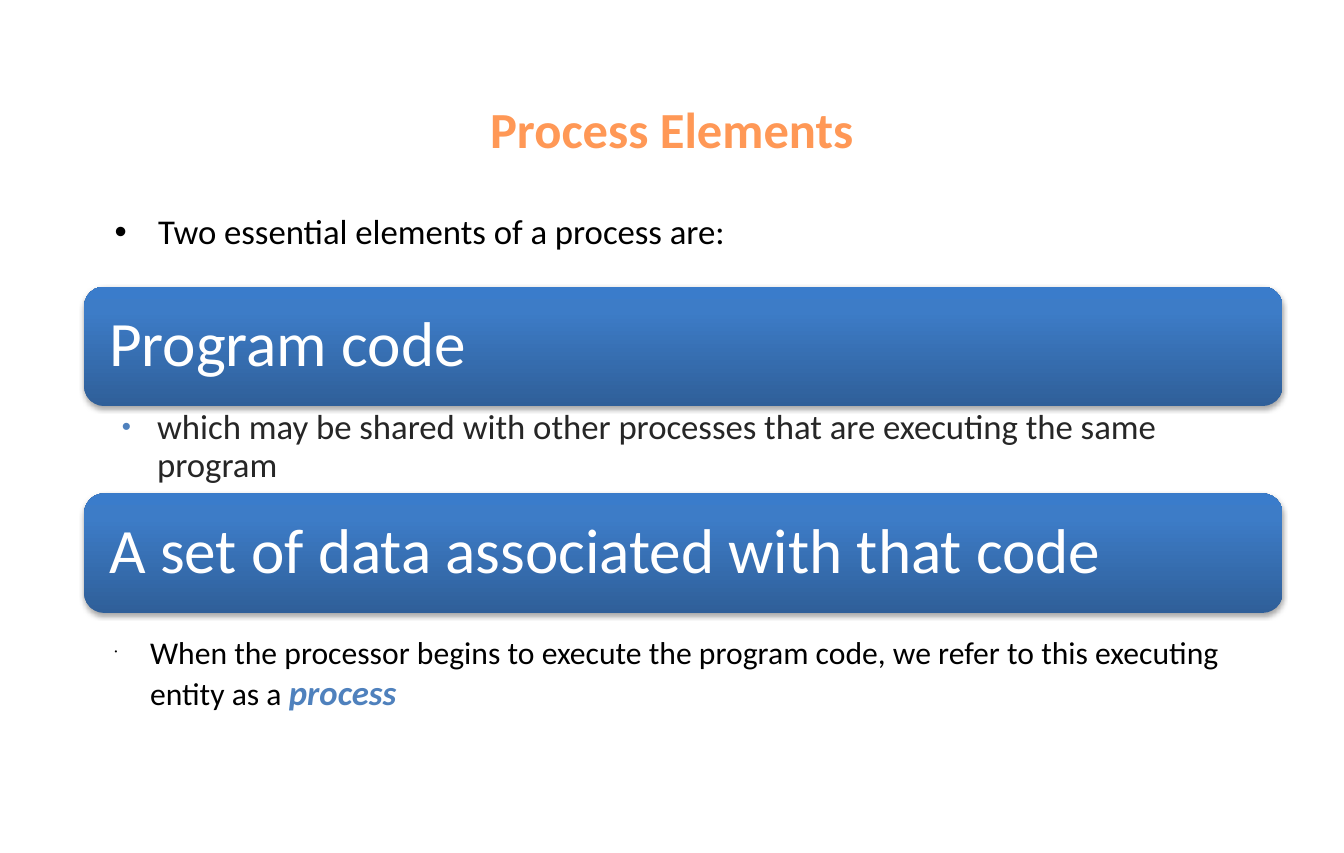
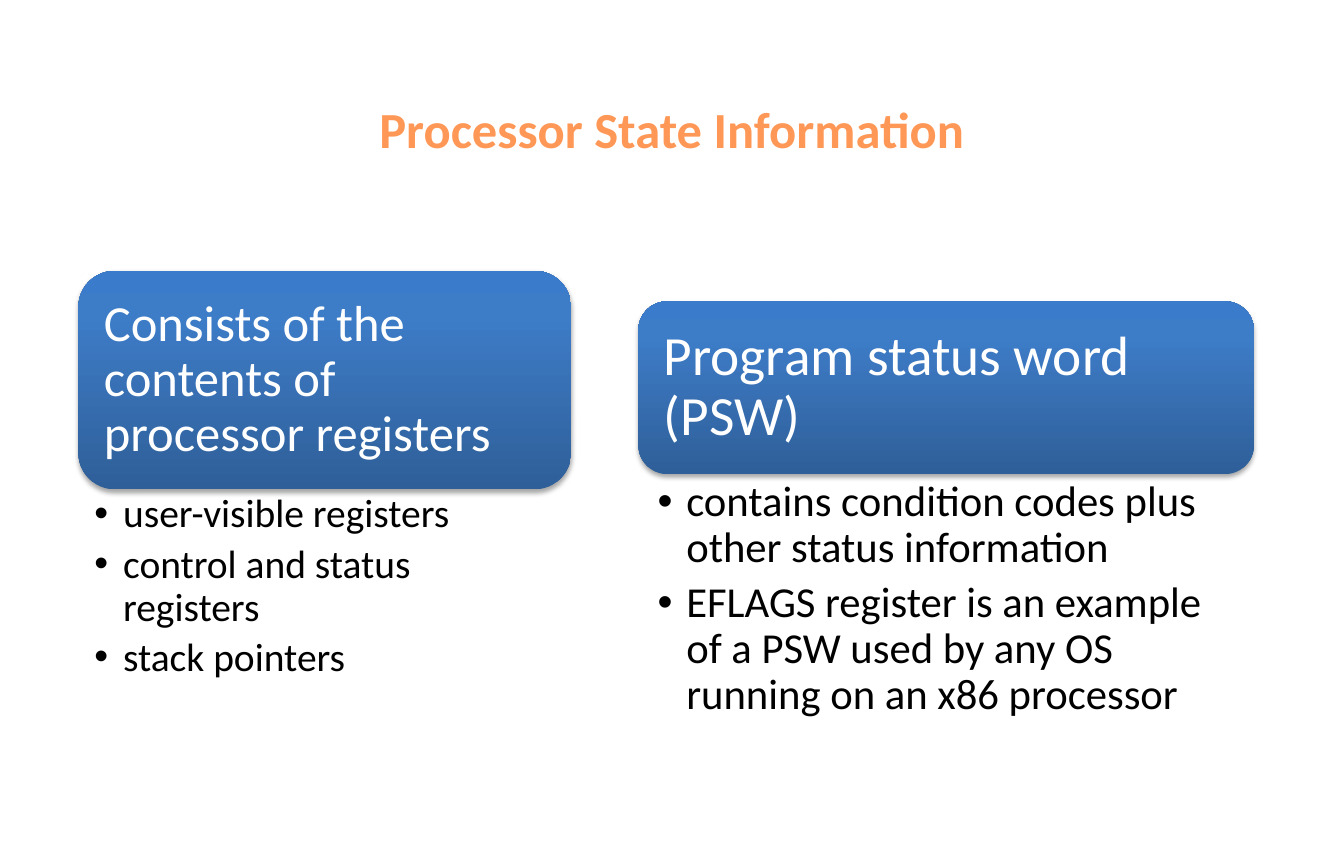
"""Builds two slides on process elements and processor state information."""
from dataclasses import dataclass
from typing import Optional

from lxml.etree import SubElement
from pptx import Presentation
from pptx.dml.color import RGBColor
from pptx.enum.shapes import MSO_SHAPE as Preset
from pptx.enum.text import MSO_ANCHOR as Anchor, PP_ALIGN as Align
from pptx.oxml.ns import qn
from pptx.util import Cm, Pt

FONT = "Calibri"
COLORS = {
    "title": "FF9856",
    "body": "000000",
    "detail": "262626",
    "accent": "4F81BD",
    "card_text": "FFFFFF",
    "card_bottom": "2F5F99",
    "card_middle": "3D7CC7",
    "card_top": "3A7CCB",
    "shadow": "000000",
}
CARD_STOPS = ((0, "card_bottom"), (80, "card_middle"), (100, "card_top"))
DEFAULT_INSETS = (0.25, 0.13, 0.25, 0.13)


@dataclass(frozen=True)
class Box:
    left: float
    top: float
    width: float
    height: float

    def lengths(self) -> tuple:
        return tuple(Cm(v) for v in (self.left, self.top, self.width, self.height))


@dataclass(frozen=True)
class BulletStyle:
    size: float
    hanging: float
    color: str = "body"
    line_spacing: float = 0.9
    bullet_color: Optional[str] = None
    bullet_percent: int = 100


@dataclass(frozen=True)
class Card:
    heading: str
    box: Box
    size: float
    inset: float
    details: tuple = ()
    details_height: float = 0
    details_insets: tuple = DEFAULT_INSETS
    details_style: Optional[BulletStyle] = None


TITLE_BOX = Box(1.25, 1.27, 27.5, 3.18)
INTRO = BulletStyle(22, 0.97)
CLOSING = BulletStyle(20, 0.79, line_spacing=1, bullet_percent=25)

ELEMENT_CARDS = (
    Card("Program code", Box(1.88, 6.4, 26.75, 2.67), 40, 0.43,
         ("which may be shared with other processes that are executing the same program",),
         1.9, (0.84, 0.08, 0.43, 0.08),
         BulletStyle(22, 0.79, "detail", bullet_color="accent", bullet_percent=75)),
    Card("A set of data associated with that code", Box(1.88, 11.02, 26.75, 2.67), 40, 0.43),
)
STATE_CARDS = (
    Card("Consists of the contents of processor registers", Box(1.75, 6.05, 11, 4.88), 32, 0.33,
         ("user-visible registers", "control and status registers", "stack pointers"),
         4.6, (0.36, 0.1, 0.64, 0.1), BulletStyle(25, 0.64)),
    Card("Program status word (PSW)", Box(14.25, 6.73, 13.74, 3.86), 35, 0.38,
         ("contains condition codes plus other status information",
          "EFLAGS register is an example of a PSW used by any OS running on an x86 processor"),
         5.74, (0.43, 0.13, 0.69, 0.13), BulletStyle(27, 0.64)),
)


def rgb(name: str) -> RGBColor:
    return RGBColor.from_string(COLORS[name])


def set_font(font, size: float, color: str, bold: Optional[bool] = None) -> None:
    font.name = FONT
    font.size = Pt(size)
    font.bold = bold
    font.color.rgb = rgb(color)


def prepare_frame(shape, insets: tuple, anchor=Anchor.TOP):
    frame = shape.text_frame
    frame.word_wrap = True
    frame.vertical_anchor = anchor
    frame.margin_left, frame.margin_top, frame.margin_right, frame.margin_bottom = map(Cm, insets)
    return frame


def add_element(parent, tag: str, **attributes):
    return SubElement(parent, qn(tag), {key: str(value) for key, value in attributes.items()})


def add_bullet(paragraph, style: BulletStyle) -> None:
    properties = paragraph._p.get_or_add_pPr()
    properties.set("marL", str(Cm(style.hanging)))
    properties.set("indent", str(-Cm(style.hanging)))
    if style.bullet_color:
        color = add_element(properties, "a:buClr")
        add_element(color, "a:srgbClr", val=COLORS[style.bullet_color])
    add_element(properties, "a:buSzPct", val=style.bullet_percent * 1000)
    add_element(properties, "a:buFont", typeface="Arial")
    add_element(properties, "a:buChar", char="•")


def add_bullets(slide, box: Box, texts: tuple, style: BulletStyle,
                insets: tuple = DEFAULT_INSETS):
    frame = prepare_frame(slide.shapes.add_textbox(*box.lengths()), insets)
    for index, text in enumerate(texts):
        paragraph = frame.add_paragraph() if index else frame.paragraphs[0]
        add_bullet(paragraph, style)
        paragraph.line_spacing = style.line_spacing
        paragraph.space_after = Pt(style.size * 0.2)
        paragraph.add_run().text = text
        set_font(paragraph.font, style.size, style.color)
    return frame


def add_title(slide, text: str) -> None:
    insets = DEFAULT_INSETS
    frame = prepare_frame(slide.shapes.add_textbox(*TITLE_BOX.lengths()), insets, Anchor.MIDDLE)
    title = frame.paragraphs[0]
    title.text = text
    title.alignment = Align.CENTER
    set_font(title.font, 32, "title", True)


def style_card(shape) -> None:
    properties = shape._element.spPr
    gradient = add_element(properties, "a:gradFill", rotWithShape=1)
    stops = add_element(gradient, "a:gsLst")
    for percent, color in CARD_STOPS:
        stop = add_element(stops, "a:gs", pos=percent * 1000)
        add_element(stop, "a:srgbClr", val=COLORS[color])
    add_element(gradient, "a:lin", ang=270 * 60000, scaled=0)
    shape.line.fill.background()
    effects = add_element(properties, "a:effectLst")
    shadow = add_element(effects, "a:outerShdw", blurRad=Pt(3.1), dist=Pt(1.8),
                         dir=90 * 60000, rotWithShape=0)
    tint = add_element(shadow, "a:srgbClr", val=COLORS["shadow"])
    add_element(tint, "a:alpha", val=35000)


def add_card(slide, card: Card) -> None:
    shape = slide.shapes.add_shape(Preset.ROUNDED_RECTANGLE, *card.box.lengths())
    style_card(shape)
    heading = prepare_frame(shape, (card.inset,) * 4, Anchor.MIDDLE).paragraphs[0]
    heading.text = card.heading
    heading.alignment = Align.LEFT
    heading.line_spacing = 0.9
    set_font(heading.font, card.size, "card_text")
    if card.details:
        box = Box(card.box.left, card.box.top + card.box.height,
                  card.box.width, card.details_height)
        add_bullets(slide, box, card.details, card.details_style, card.details_insets)


def add_slide(deck, title: str, cards: tuple):
    slide = deck.slides.add_slide(deck.slide_layouts[6])
    add_title(slide, title)
    for card in cards:
        add_card(slide, card)
    return slide


def main() -> None:
    deck = Presentation()
    deck.slide_width, deck.slide_height = Cm(30), Cm(19.05)

    elements = add_slide(deck, "Process Elements", ELEMENT_CARDS)
    add_bullets(elements, Box(2.31, 4.66, 25.6, 1.3),
                ("Two essential elements of a process are:",), INTRO)
    closing = add_bullets(
        elements, Box(2.31, 14, 25.6, 2.3),
        ("When the processor begins to execute the program code, "
         "we refer to this executing entity as a ",), CLOSING)
    term = closing.paragraphs[0].add_run()
    term.text = "process"
    set_font(term.font, 22, "accent", True)
    term.font.italic = True

    add_slide(deck, "Processor State Information", STATE_CARDS)
    deck.save("out.pptx")


if __name__ == "__main__":
    main()
